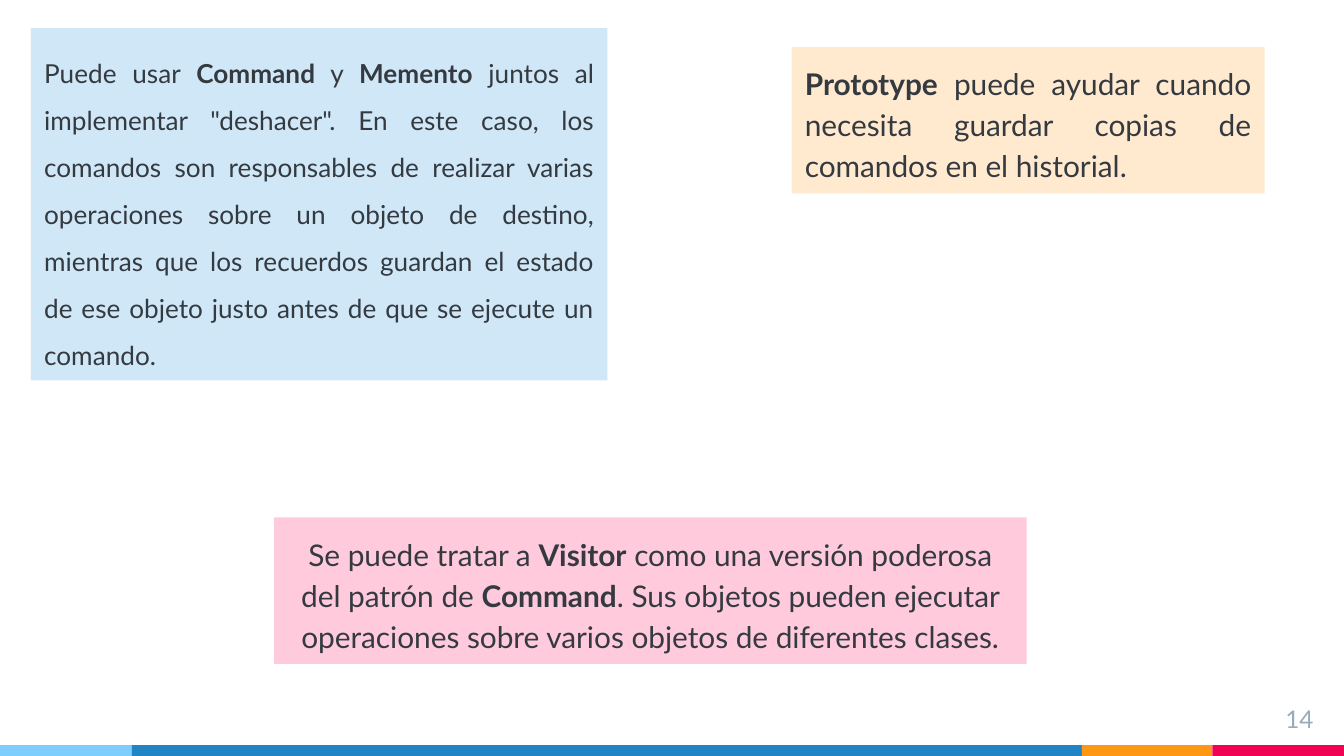
from pptx import Presentation
from pptx.dml.color import RGBColor
from pptx.enum.shapes import MSO_SHAPE
from pptx.enum.text import MSO_ANCHOR, PP_ALIGN
from pptx.util import Inches, Pt

THEME = {
    "font": "Lato", "text": "343A40", "number": "97ABBC",
    "sky": "7ECEFD", "blue": "2185C5", "orange": "FF9715", "red": "F20253",
    "pale_blue": "CFE7F7", "pale_orange": "FFEAD0", "pale_pink": "FFCADC",
    "body": 16, "small": 14, "page": 13,
}
SLIDE_W = 10
SLIDE_H = SLIDE_W * 9 / 16
BAR_H = 0.08
BAR = [("sky", 0.98), ("blue", 7.07), ("orange", 0.97), ("red", 0.98)]
CARDS = [
    {"at": (2.04, 3.85, 5.6, 1.09), "fill": "pale_pink", "size": "body",
     "align": PP_ALIGN.CENTER, "spacing": 1.15,
     "runs": [("Se puede tratar a ", False), ("Visitor", True),
              (" como una versión poderosa del patrón de ", False), ("Command", True),
              (". Sus objetos pueden ejecutar operaciones sobre varios objetos "
               "de diferentes clases.", False)]},
    {"at": (5.89, 0.35, 3.52, 1.09), "fill": "pale_orange", "size": "body",
     "align": PP_ALIGN.JUSTIFY, "spacing": Pt(22),
     "runs": [("Prototype", True),
              (" puede ayudar cuando necesita guardar copias de comandos "
               "en el historial.", False)]},
    {"at": (0.23, 0.21, 4.29, 2.62), "fill": "pale_blue", "size": "small",
     "align": PP_ALIGN.JUSTIFY, "spacing": 1.5,
     "runs": [("Puede usar ", False), ("Command", True), (" y ", False), ("Memento", True),
              (' juntos al implementar "deshacer". En este caso, los comandos son '
               "responsables de realizar varias operaciones sobre un objeto de destino, "
               "mientras que los recuerdos guardan el estado de ese objeto justo antes "
               "de que se ejecute un comando.", False)]},
]
PAGE = {"at": (9.27, 5.14, 0.6, 0.34), "runs": [("14", False)]}


def color(name):
    return RGBColor.from_string(THEME[name])


def add_rect(s, at, fill):
    sp = s.shapes.add_shape(MSO_SHAPE.RECTANGLE, *map(Inches, at))
    sp.shadow.inherit = False
    sp.fill.solid()
    sp.fill.fore_color.rgb = color(fill)
    sp.line.fill.background()
    return sp


def write(sp, runs, size, ink, align, spacing=1.0):
    tf = sp.text_frame
    tf.word_wrap = True
    tf.vertical_anchor = MSO_ANCHOR.TOP
    tf.margin_left = tf.margin_right = tf.margin_top = tf.margin_bottom = Inches(0.1)
    p = tf.paragraphs[0]
    p.alignment = align
    p.line_spacing = spacing
    for text, bold in runs:
        r = p.add_run()
        r.text = text
        r.font.name = THEME["font"]
        r.font.size = Pt(THEME[size])
        r.font.bold = bold
        r.font.color.rgb = color(ink)


def main():
    """Build the slide on how Command relates to other design patterns."""
    prs = Presentation()
    prs.slide_width, prs.slide_height = Inches(SLIDE_W), Inches(SLIDE_H)
    s = prs.slides.add_slide(prs.slide_layouts[6])
    left = 0
    for fill, width in BAR:
        add_rect(s, (left, SLIDE_H - BAR_H, width, BAR_H), fill)
        left += width
    number = s.shapes.add_textbox(*map(Inches, PAGE["at"]))
    write(number, PAGE["runs"], "page", "number", PP_ALIGN.RIGHT)
    for card in CARDS:
        sp = add_rect(s, card["at"], card["fill"])
        write(sp, card["runs"], card["size"], "text", card["align"], card["spacing"])
    prs.save("out.pptx")


if __name__ == "__main__":
    main()
